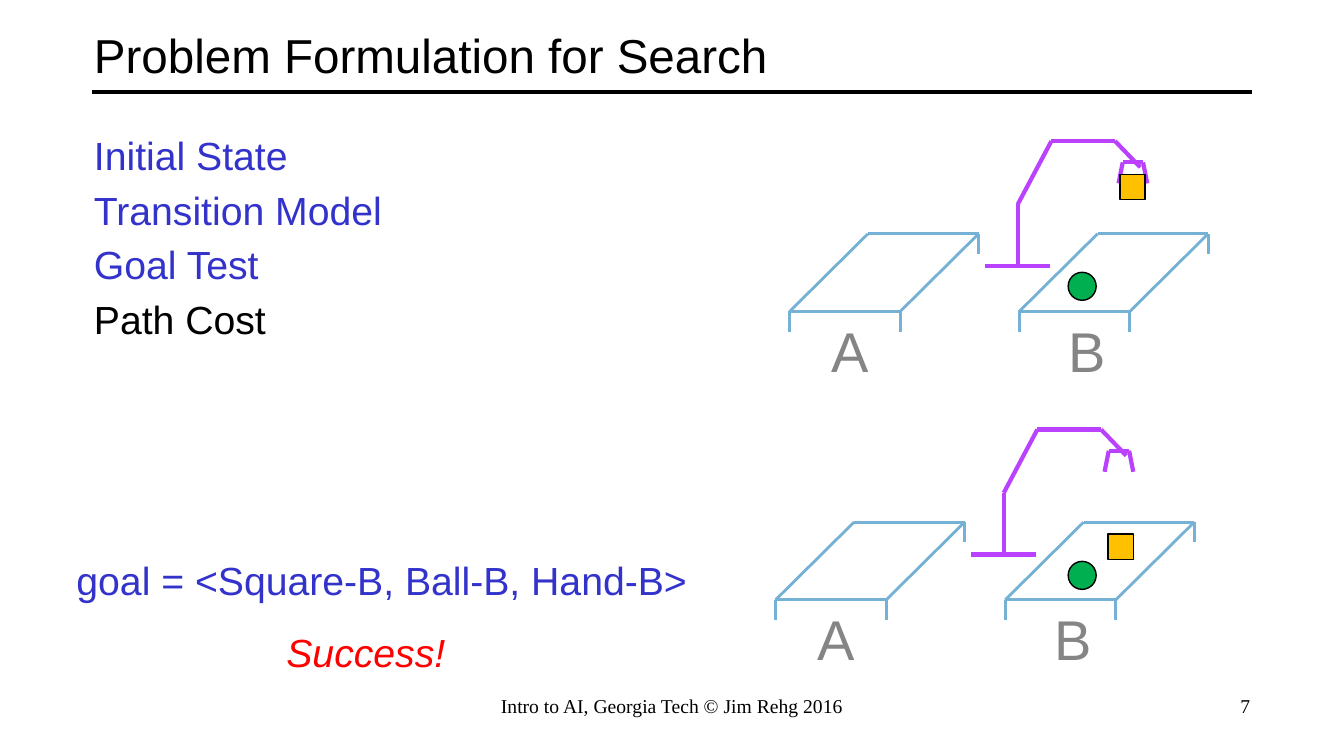
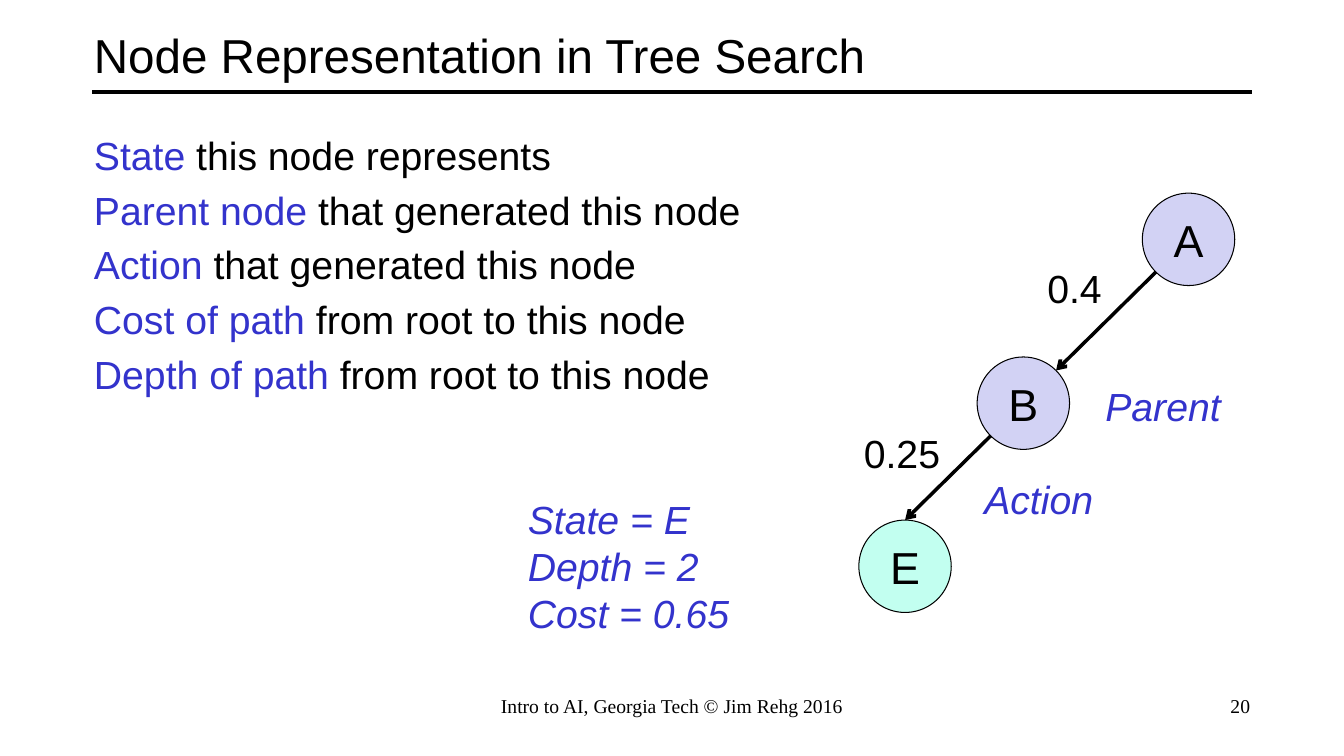
from dataclasses import dataclass
from itertools import pairwise
from math import sqrt

from lxml import etree
from pptx import Presentation
from pptx.dml.color import RGBColor
from pptx.enum.shapes import MSO_CONNECTOR, MSO_SHAPE
from pptx.enum.text import MSO_ANCHOR, PP_ALIGN
from pptx.oxml.ns import qn
from pptx.util import Pt

LEFT, CENTER, RIGHT = PP_ALIGN.LEFT, PP_ALIGN.CENTER, PP_ALIGN.RIGHT
TOP, MIDDLE = MSO_ANCHOR.TOP, MSO_ANCHOR.MIDDLE
STRAIGHT = MSO_CONNECTOR.STRAIGHT
RECT, OVAL = MSO_SHAPE.RECTANGLE, MSO_SHAPE.OVAL


@dataclass(frozen=True)
class Theme:
    """Colours, fonts and type sizes shared by the slides."""
    black: str = "000000"
    blue: str = "3333CC"
    red: str = "FF0000"
    grey: str = "858585"
    table: str = "75B1D4"
    arm: str = "BA42FF"
    square: str = "FFC000"
    ball: str = "00B050"
    node: str = "D2D2F4"
    current: str = "C2FFF0"
    sans: str = "Arial"
    serif: str = "Times New Roman"
    title: int = 34
    body: int = 28
    footer: int = 14
    node_size: int = 32
    table_size: int = 40


T = Theme()
NODE = 66
TABLE_W, TABLE_SKEW, TABLE_H, LEG = 79, 56, 55.5, 14.5
ARM_PATHS = [
    [(139.5, 90), (186, 90)],
    [(163, 91.5), (163, 46), (187, 0.8), (232.5, 0.8), (250.5, 19.5)],
    [(235, 31), (238, 16), (252.5, 16), (255.5, 31)],
]


def rgb(value):
    """Return a colour from its hex value."""
    return RGBColor.from_string(value)


def style(font, size, color, face=T.sans, italic=False):
    """Set size, colour, face and slant of a font."""
    font.size, font.name, font.italic = Pt(size), face, italic
    font.color.rgb = rgb(color)


def text(s, x, y, w, h, lines, size=T.body, color=T.black, face=T.sans,
         italic=False, align=LEFT, anchor=TOP, gap=0):
    """Add a text box; a line is a string or a list of (text, colour) runs."""
    tf = s.shapes.add_textbox(Pt(x), Pt(y), Pt(w), Pt(h)).text_frame
    tf.word_wrap, tf.vertical_anchor = True, anchor
    for i, line in enumerate(lines):
        p = tf.paragraphs[0] if i == 0 else tf.add_paragraph()
        p.alignment = align
        if i and gap:
            p.space_before = Pt(gap)
        style(p.font, size, color, face, italic)
        runs = [(line, color)] if isinstance(line, str) else line
        for content, run_color in runs:
            r = p.add_run()
            r.text = content
            if run_color != color:
                r.font.color.rgb = rgb(run_color)


def line(s, start, end, color, width, arrow=False):
    """Add a straight line, with an arrowhead at its end if asked."""
    c = s.shapes.add_connector(STRAIGHT, *map(Pt, (*start, *end)))
    c.line.color.rgb, c.line.width = rgb(color), Pt(width)
    if arrow:
        etree.SubElement(c.line._get_or_add_ln(), qn("a:tailEnd"), type="arrow")
    etree.SubElement(c._element.spPr, qn("a:effectLst"))


def path(s, x, y, points, color, width):
    """Draw lines through points given relative to x and y."""
    for start, end in pairwise([(x + px, y + py) for px, py in points]):
        line(s, start, end, color, width)


def shape(s, kind, x, y, size, fill, width):
    """Add a filled shape with equal sides and a black outline."""
    sp = s.shapes.add_shape(kind, Pt(x), Pt(y), Pt(size), Pt(size))
    sp.shadow.inherit = False
    sp.fill.solid()
    sp.fill.fore_color.rgb = rgb(fill)
    sp.line.color.rgb, sp.line.width = rgb(T.black), Pt(width)
    return sp


def base_slide(prs, title, body, number):
    """Add a slide with title, rule, body lines and footer."""
    s = prs.slides.add_slide(prs.slide_layouts[6])
    line(s, (66, 66), (894, 66), T.black, 3)
    text(s, 60, 6, 840, 66, [title], T.title, anchor=MIDDLE)
    text(s, 60, 90, 840, 396, body, gap=5.6)
    text(s, 328, 492, 304, 36, ["Intro to AI, Georgia Tech © Jim Rehg 2016"],
         T.footer, face=T.serif, align=CENTER)
    text(s, 688, 492, 212, 36, [str(number)], T.footer, face=T.serif, align=RIGHT)
    return s


def table(s, x, y):
    """Draw a slanted table top with three legs."""
    back_left, back_right = (TABLE_SKEW, 0), (TABLE_SKEW + TABLE_W, 0)
    front_left, front_right = (0, TABLE_H), (TABLE_W, TABLE_H)
    path(s, x, y, [back_left, back_right, front_right, front_left, back_left],
         T.table, 2)
    for px, py in (front_left, front_right, back_right):
        path(s, x, y, [(px, py), (px, py + LEG)], T.table, 2)


def robot_scene(s, x, y, square, ball):
    """Draw two tables, the robot arm, and the square and ball at their places."""
    for name, table_x, label_x in (("A", 0, 23), ("B", 164, 192)):
        table(s, x + table_x, y + 67)
        text(s, x + label_x, y + 124, 40, 52, [name], T.table_size, T.grey,
             align=CENTER, anchor=MIDDLE)
    for points in ARM_PATHS:
        path(s, x, y, points, T.arm, 3)
    shape(s, RECT, x + square[0], y + square[1], 18, T.square, 1)
    shape(s, OVAL, x + ball[0], y + ball[1], 20, T.ball, 1)


def node(s, x, y, name, fill):
    """Draw a lettered tree node and return its centre."""
    sp = shape(s, OVAL, x, y, NODE, fill, 0.75)
    tf = sp.text_frame
    tf.vertical_anchor, tf.word_wrap = MIDDLE, True
    p = tf.paragraphs[0]
    p.text, p.alignment = name, CENTER
    style(p.font, T.node_size, T.black)
    return x + NODE / 2, y + NODE / 2


def search_tree(s, x, y):
    """Draw a path of three nodes with edge costs and labels."""
    ax, ay = node(s, x + 206, y, "A", T.node)
    bx, by = node(s, x + 88, y + 117, "B", T.node)
    ex, ey = node(s, x + 3.5, y + 233.5, "E", T.current)
    radius = NODE / 2
    d = radius / sqrt(2)
    line(s, (ax - d, ay + d), (bx + d, by - d), T.black, 2.5, arrow=True)
    line(s, (bx - d, by + d), (ex, ey - radius), T.black, 2.5, arrow=True)
    for px, py, cost in ((131, 47, "0.4"), (0, 165, "0.25")):
        text(s, x + px, y + py, 75, 41, [cost])
    for px, py, label in ((172.5, 131.5, "Parent"), (86, 198, "Action")):
        text(s, x + px, y + py, 105, 41, [label], color=T.blue, italic=True)


def formulation_slide(prs):
    """Build the slide on problem formulation."""
    body = [[(name, T.blue)] for name in
            ("Initial State", "Transition Model", "Goal Test")]
    s = base_slide(prs, "Problem Formulation for Search", body + ["Path Cost"], 7)
    robot_scene(s, 564, 100, square=(236, 24.5), ball=(199, 94.5))
    robot_scene(s, 554, 306, square=(237.5, 75.5), ball=(209, 95))
    text(s, 47.5, 394, 480, 41, ["goal = <Square-B, Ball-B, Hand-B>"], color=T.blue)
    text(s, 197.5, 445, 140, 41, ["Success!"], color=T.red, italic=True)


def node_slide(prs):
    """Build the slide on node representation."""
    fields = [
        ("State", " this node represents"),
        ("Parent node ", "that generated this node"),
        ("Action", " that generated this node"),
        ("Cost of path ", "from root to this node"),
        ("Depth of path ", "from root to this node"),
    ]
    body = [[(term, T.blue), (rest, T.black)] for term, rest in fields]
    s = base_slide(prs, "Node Representation in Tree Search", body, 20)
    search_tree(s, 610, 138)
    text(s, 370, 350, 175, 109, ["State = E", "Depth = 2", "Cost = 0.65"],
         color=T.blue, italic=True)


def main():
    """Build and save the presentation."""
    prs = Presentation()
    prs.slide_width, prs.slide_height = Pt(960), Pt(540)
    formulation_slide(prs)
    node_slide(prs)
    prs.save("out.pptx")


if __name__ == "__main__":
    main()
